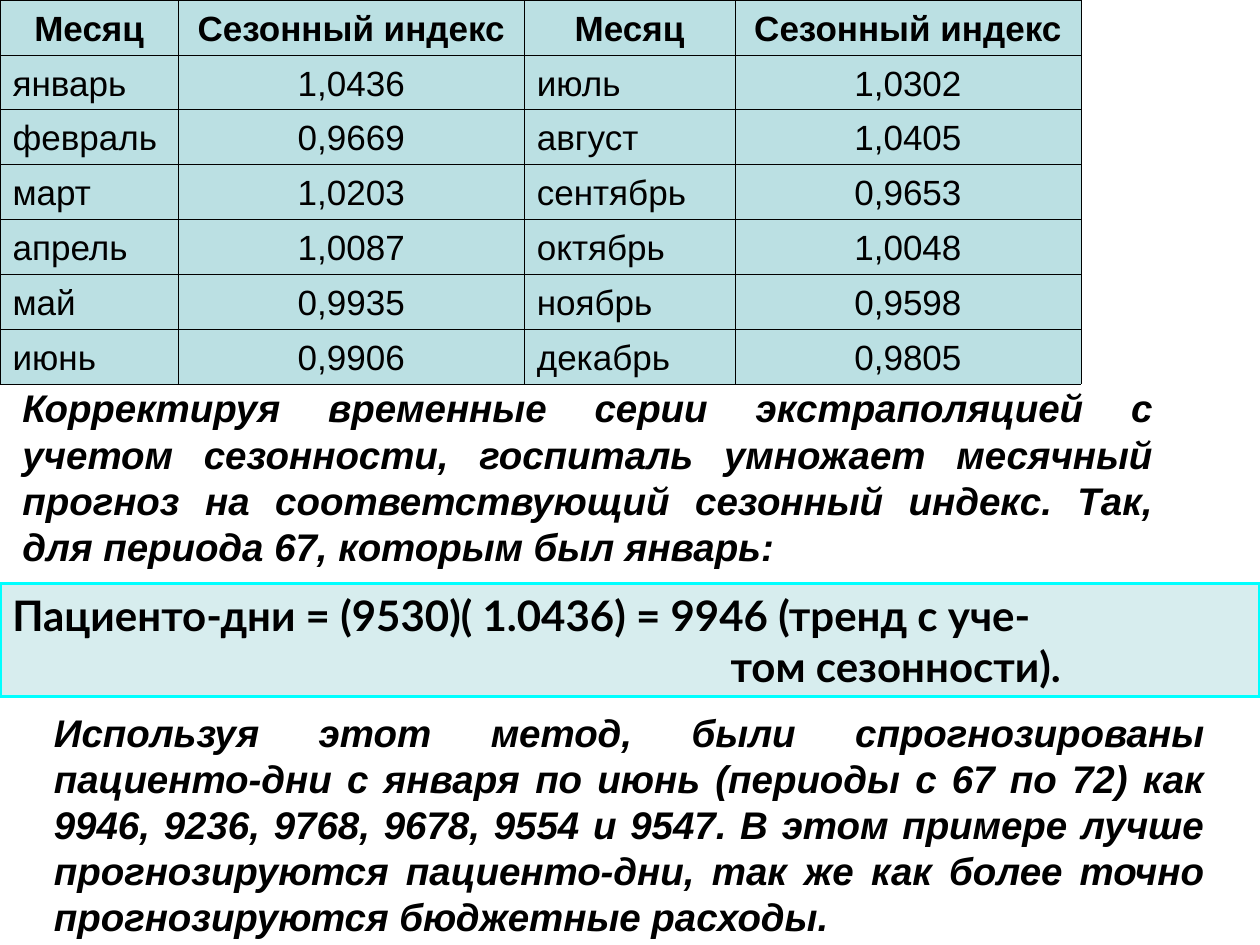
from lxml.etree import SubElement
from pptx import Presentation
from pptx.dml.color import RGBColor
from pptx.enum.shapes import MSO_SHAPE
from pptx.enum.text import MSO_ANCHOR, MSO_AUTO_SIZE, PP_ALIGN
from pptx.oxml.ns import qn
from pptx.util import Inches, Pt

WIDTH, HEIGHT = 10, 7.5
BLACK, PALE, CYAN = "000000", "BBE0E3", "00FFFF"
HEADINGS = ("Месяц", "Сезонный индекс") * 2
MONTHS = [
    ("январь", "1,0436", "июль", "1,0302"),
    ("февраль", "0,9669", "август", "1,0405"),
    ("март", "1,0203", "сентябрь", "0,9653"),
    ("апрель", "1,0087", "октябрь", "1,0048"),
    ("май", "0,9935", "ноябрь", "0,9598"),
    ("июнь", "0,9906", "декабрь", "0,9805"),
]
COLUMN_SHARES = (0.165, 0.32, 0.195, 0.32)
ADJUSTMENT = (
    "Корректируя временные серии экстраполяцией с учетом сезонности, "
    "госпиталь умножает месячный прогноз на соответствующий сезонный индекс. "
    "Так, для периода 67, которым был январь:"
)
FORMULA = "Пациенто-дни = (9530)( 1.0436) = 9946 (тренд с уче-"
FORMULA_END = "том сезонности)."
RESULT = (
    "Используя этот метод, были спрогнозированы пациенто-дни с января по июнь "
    "(периоды с 67 по 72) как 9946, 9236, 9768, 9678, 9554 и 9547. В этом примере "
    "лучше прогнозируются пациенто-дни, так же как более точно прогнозируются "
    "бюджетные расходы."
)


def colour(value):
    return RGBColor.from_string(value)


def write(para, text, size=22, font="Arial", bold=True, italic=False,
          align=PP_ALIGN.JUSTIFY, margin=0, indent=0):
    para.alignment = align
    properties = para._p.get_or_add_pPr()
    properties.set("marL", str(Inches(margin)))
    properties.set("indent", str(Inches(indent)))
    span = para.add_run()
    span.text = text
    span.font.size = Pt(size)
    span.font.name = font
    span.font.bold = bold
    span.font.italic = italic
    span.font.color.rgb = colour(BLACK)


def fit_text(shape):
    frame = shape.text_frame
    frame.word_wrap = True
    frame.auto_size = MSO_AUTO_SIZE.SHAPE_TO_FIT_TEXT
    frame.vertical_anchor = MSO_ANCHOR.MIDDLE
    return frame


def add_borders(cell):
    properties = cell._tc.get_or_add_tcPr()
    for side in ("lnL", "lnR", "lnT", "lnB"):
        line = SubElement(properties, qn(f"a:{side}"), w=str(Pt(0.45)))
        fill = SubElement(line, qn("a:solidFill"))
        SubElement(fill, qn("a:srgbClr"), val=BLACK)


def add_index_table(page, box):
    rows = [HEADINGS, *MONTHS]
    table = page.shapes.add_table(
        len(rows), len(HEADINGS), *map(Inches, box)).table
    for column, share in zip(table.columns, COLUMN_SHARES):
        column.width = Inches(box[2] * share)
    for row_number, values in enumerate(rows):
        table.rows[row_number].height = Inches(box[3] / len(rows))
        for column_number, value in enumerate(values):
            cell = table.cell(row_number, column_number)
            add_borders(cell)
            cell.fill.solid()
            cell.fill.fore_color.rgb = colour(PALE)
            cell.vertical_anchor = MSO_ANCHOR.BOTTOM
            heading = row_number == 0
            centred = heading or column_number % 2 == 1
            write(cell.text_frame.paragraphs[0], value, size=20, bold=heading,
                  align=PP_ALIGN.CENTER if centred else PP_ALIGN.LEFT,
                  margin=0.38, indent=-0.38)


def add_comment(page, box, text):
    shape = page.shapes.add_textbox(*map(Inches, box))
    write(fit_text(shape).paragraphs[0], text, italic=True)


def add_formula(page, box):
    shape = page.shapes.add_shape(MSO_SHAPE.RECTANGLE, *map(Inches, box))
    shape.shadow.inherit = False
    shape.fill.solid()
    shape.fill.fore_color.rgb = colour(PALE)
    fill_colour = shape.element.spPr.find(qn("a:solidFill"))[0]
    SubElement(fill_colour, qn("a:alpha"), val="58000")
    shape.line.color.rgb = colour(CYAN)
    shape.line.width = Pt(2)
    frame = fit_text(shape)
    write(frame.paragraphs[0], FORMULA, size=24, font="Lato")
    write(frame.add_paragraph(), FORMULA_END, size=24, font="Lato",
          margin=box[2] * 0.57)


def main():
    deck = Presentation()
    deck.slide_width, deck.slide_height = Inches(WIDTH), Inches(HEIGHT)
    page = deck.slides.add_slide(deck.slide_layouts[6])
    add_comment(page, (0.08, 3, 9.17, 1.57), ADJUSTMENT)
    add_formula(page, (0, 4.63, WIDTH, 0.9))
    add_comment(page, (0.33, 5.57, 9.33, 1.94), RESULT)
    add_index_table(page, (0, 0, 8.58, 3.05))
    deck.save("out.pptx")


if __name__ == "__main__":
    main()
